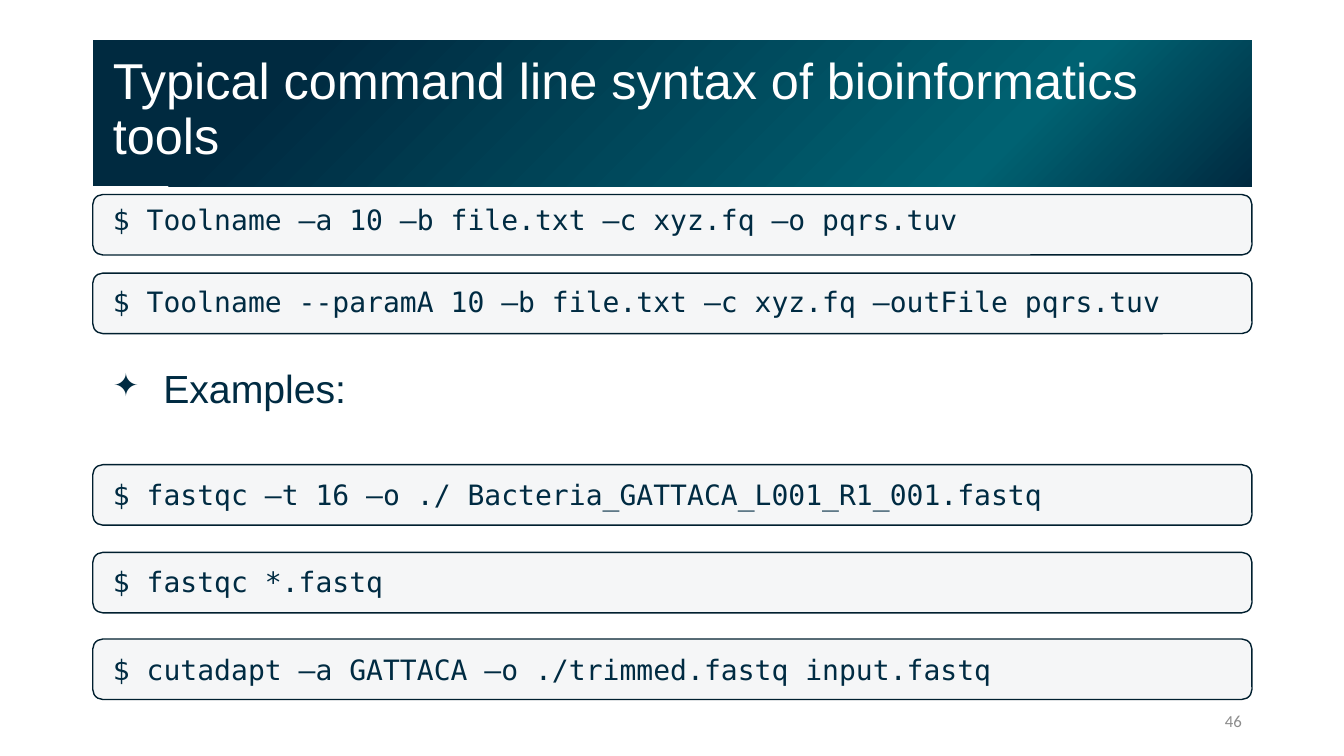
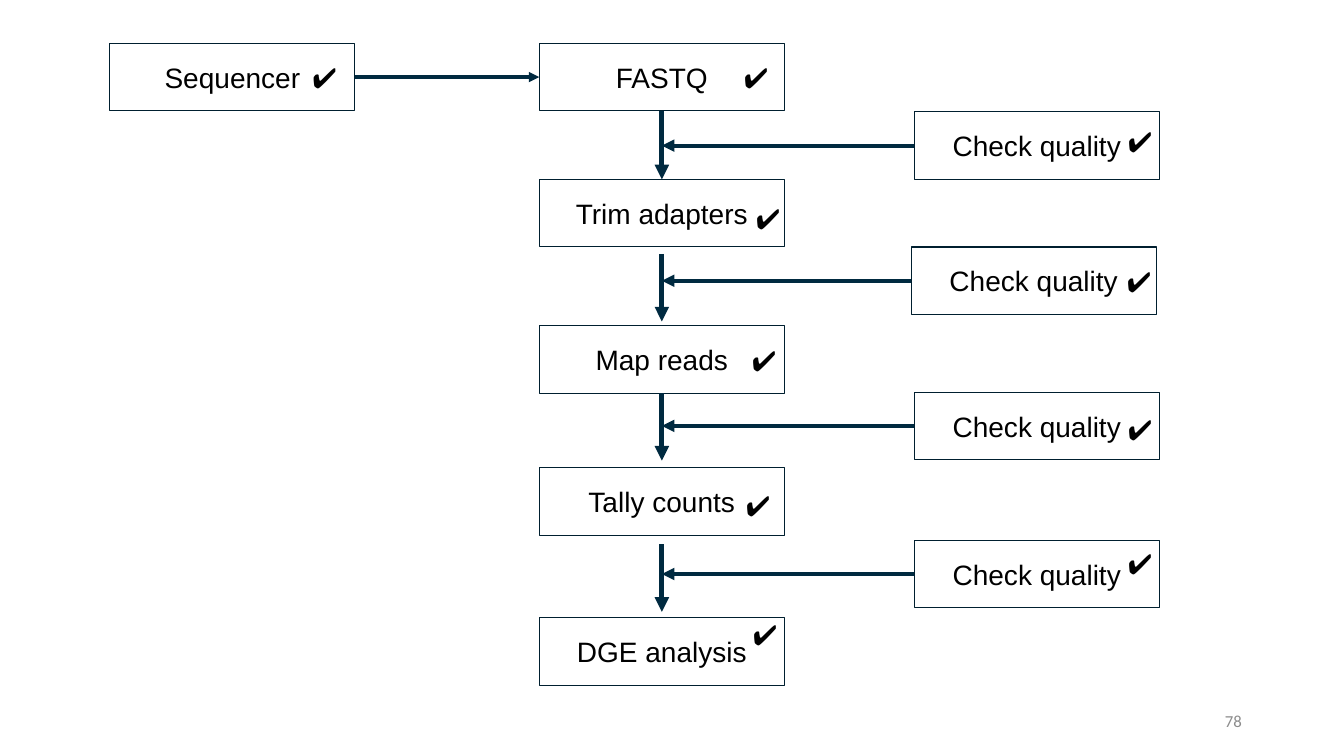
from dataclasses import dataclass

from lxml.etree import SubElement
from pptx import Presentation
from pptx.dml.color import RGBColor
from pptx.enum.shapes import MSO_CONNECTOR, MSO_SHAPE
from pptx.enum.text import MSO_ANCHOR, PP_ALIGN
from pptx.oxml import parse_xml
from pptx.oxml.ns import nsdecls, qn
from pptx.shapes.autoshape import Shape
from pptx.shapes.connector import Connector
from pptx.slide import Slide
from pptx.text.text import _Paragraph as Paragraph
from pptx.util import Inches, Length, Pt

SLIDE_WIDTH, SLIDE_HEIGHT = Inches(13.33), Inches(7.5)
NAVY, OUTLINE, TEAL = "002A40", "001F2F", "006272"
INK, BLACK, WHITE, GREY = "002B42", "000000", "FFFFFF", "8C8C8C"
SANS, MONO, FOOTER_FONT = "Arial", "DejaVu Sans Mono", "Calibri"
MARGIN, CONTENT_WIDTH = 6.9, 86.25
BAND_HEIGHT = 8
BOX_WIDTH, BOX_HEIGHT = 18.23, 8.93
TOP, LEFT, BOTTOM, RIGHT = range(4)


@dataclass(frozen=True)
class Line:
    text: str
    space_before: float = 41
    size: float = 20
    font: str = MONO
    bullet: bool = False


@dataclass(frozen=True)
class Step:
    label: str
    left: float
    top: float
    mark_right: float
    mark_down: float
    mark_width: float = 7.5
    mark_height: float = 13.33


BAND_TOPS = (25.73, 36.13, 61.47, 73.07, 84.53)
LINES = (
    Line("$ Toolname –a 10 –b file.txt –c xyz.fq –o pqrs.tuv", 0),
    Line("$ Toolname --paramA 10 –b file.txt –c xyz.fq –outFile pqrs.tuv", 37),
    Line("Examples:", 36.5, 28, SANS, True),
    Line("$ fastqc –t 16 –o ./ Bacteria_GATTACA_L001_R1_001.fastq", 49),
    Line("$ fastqc *.fastq"),
    Line("$ cutadapt –a GATTACA –o ./trimmed.fastq input.fastq"),
)
SEQUENCER = Step("Sequencer", 8.18, 5.73, 14.33, -2.13)
STAGES = (
    Step("FASTQ", 40.13, 5.73, 14.48, -2.13),
    Step("Trim adapters", 40.13, 23.73, 15.38, -1.47),
    Step("Map reads", 40.13, 43.07, 15.08, -2.13),
    Step("Tally counts", 40.13, 61.87, 14.63, -1.73),
    Step("DGE analysis", 40.13, 81.73, 15.15, -0.8, 2.48, 10.4),
)
CHECKS = (
    Step("Check quality", 68.03, 14.8, 15.15, -2.8),
    Step("Check quality", 67.8, 32.67, 15.3, -2.13),
    Step("Check quality", 68.03, 51.87, 15.15, -1.73),
    Step("Check quality", 68.03, 71.47, 15.15, 0, 2.48, 10.4),
)
ARROW_GAPS = (0, 0.93, 0, 1.2)


def color(value: str) -> RGBColor:
    return RGBColor.from_string(value)


def across(share: float) -> Length:
    return Length(round(SLIDE_WIDTH * share / 100))


def down(share: float) -> Length:
    return Length(round(SLIDE_HEIGHT * share / 100))


def area(left: float, top: float, width: float, height: float) -> tuple[Length, ...]:
    return across(left), down(top), across(width), down(height)


def add_run(paragraph: Paragraph, text: str, size: float, font: str, ink: str) -> None:
    run = paragraph.add_run()
    run.text = text
    run.font.size, run.font.name = Pt(size), font
    run.font.color.rgb = color(ink)


def set_insets(shape: Shape, left: float, top: float, right: float, bottom: float) -> None:
    frame = shape.text_frame
    frame.margin_left, frame.margin_top = Inches(left), Inches(top)
    frame.margin_right, frame.margin_bottom = Inches(right), Inches(bottom)


def add_text_box(slide: Slide, *place: float, wrap: bool = True) -> Shape:
    shape = slide.shapes.add_textbox(*area(*place))
    shape.text_frame.word_wrap = wrap
    shape.text_frame.vertical_anchor = MSO_ANCHOR.MIDDLE
    return shape


def add_block(slide: Slide, kind: MSO_SHAPE, *place: float, line: float = 0) -> Shape:
    shape = slide.shapes.add_shape(kind, *area(*place))
    shape.shadow.inherit = False
    shape.text_frame.vertical_anchor = MSO_ANCHOR.MIDDLE
    if line:
        shape.line.color.rgb = color(OUTLINE)
        shape.line.width = Pt(line)
    else:
        shape.line.fill.background()
    return shape


def add_band(slide: Slide, top: float) -> None:
    band = add_block(slide, MSO_SHAPE.ROUNDED_RECTANGLE, MARGIN, top, CONTENT_WIDTH, BAND_HEIGHT, line=1)
    band.fill.solid()
    band.fill.fore_color.rgb = color(NAVY)
    tint = band.fill._xPr.find(qn("a:solidFill")).find(qn("a:srgbClr"))
    SubElement(tint, qn("a:alpha"), val="4000")


def add_title(slide: Slide, text: str) -> None:
    title = add_block(slide, MSO_SHAPE.RECTANGLE, MARGIN, 5.33, CONTENT_WIDTH, 19.33)
    stops = "".join(
        f'<a:gs pos="{position * 1000}"><a:srgbClr val="{tone}"/></a:gs>'
        for position, tone in ((0, NAVY), (22, TEAL), (83, NAVY), (100, NAVY))
    )
    gradient = parse_xml(
        f'<a:gradFill {nsdecls("a")} rotWithShape="1"><a:gsLst>{stops}</a:gsLst>'
        '<a:path path="circle"><a:fillToRect l="100000" t="100000"/></a:path></a:gradFill>'
    )
    title._element.spPr.find(qn("a:prstGeom")).addnext(gradient)
    set_insets(title, 0.2, 0, 0.1, 0.05)
    paragraph = title.text_frame.paragraphs[0]
    paragraph.alignment, paragraph.line_spacing = PP_ALIGN.LEFT, 0.9
    add_run(paragraph, text, 36, SANS, WHITE)


def add_page_number(slide: Slide, number: int) -> None:
    footer = add_text_box(slide, 70.65, 92.67, 22.5, 5.33)
    paragraph = footer.text_frame.paragraphs[0]
    paragraph.alignment = PP_ALIGN.RIGHT
    add_run(paragraph, str(number), 12, FOOTER_FONT, GREY)


def add_bullet(paragraph: Paragraph) -> None:
    properties = paragraph._p.get_or_add_pPr()
    properties.set("marL", str(Inches(0.5)))
    properties.set("indent", str(-Inches(0.5)))
    SubElement(properties, qn("a:buSzPct"), val="80000")
    SubElement(properties, qn("a:buChar"), char="✦")


def add_lines(slide: Slide, lines: tuple[Line, ...]) -> None:
    body = add_text_box(slide, MARGIN, 27.33, 91.13, 70)
    set_insets(body, 0.2, 0, 0, 0)
    frame = body.text_frame
    frame.vertical_anchor = MSO_ANCHOR.TOP
    for index, line in enumerate(lines):
        paragraph = frame.add_paragraph() if index else frame.paragraphs[0]
        if line.bullet:
            add_bullet(paragraph)
        paragraph.line_spacing = 0.9
        paragraph.space_before = Pt(line.space_before)
        add_run(paragraph, line.text, line.size, line.font, INK)


def add_step(slide: Slide, step: Step) -> Shape:
    box = add_block(slide, MSO_SHAPE.RECTANGLE, step.left, step.top, BOX_WIDTH, BOX_HEIGHT, line=0.75)
    box.fill.background()
    mark = add_text_box(slide, step.left + step.mark_right, step.top + step.mark_down,
                        step.mark_width, step.mark_height, wrap=False)
    for shape, text, alignment in ((box, step.label, PP_ALIGN.CENTER), (mark, "✔️", PP_ALIGN.LEFT)):
        paragraph = shape.text_frame.paragraphs[0]
        paragraph.alignment, paragraph.space_after = alignment, Pt(6)
        add_run(paragraph, text, 20, SANS, BLACK)
    return box


def add_arrow(slide: Slide, start: tuple[float, float], end: tuple[float, float], width: float) -> Connector:
    arrow = slide.shapes.add_connector(
        MSO_CONNECTOR.STRAIGHT, across(start[0]), down(start[1]), across(end[0]), down(end[1])
    )
    arrow.line.color.rgb = color(NAVY)
    arrow.line.width = Pt(width)
    SubElement(arrow.line._get_or_add_ln(), qn("a:tailEnd"), type="triangle")
    SubElement(arrow._element.spPr, qn("a:effectLst"))
    return arrow


def build_syntax_slide(slide: Slide) -> None:
    for top in BAND_TOPS:
        add_band(slide, top)
    add_lines(slide, LINES)
    add_title(slide, "Typical command line syntax of bioinformatics tools")
    add_page_number(slide, 46)


def build_workflow_slide(slide: Slide) -> None:
    add_page_number(slide, 78)
    sequencer = add_step(slide, SEQUENCER)
    stages = [add_step(slide, step) for step in STAGES]
    center = STAGES[0].left + BOX_WIDTH / 2
    middle = SEQUENCER.top + BOX_HEIGHT / 2
    arrow = add_arrow(slide, (SEQUENCER.left + BOX_WIDTH, middle), (STAGES[0].left, middle), 2.5)
    arrow.begin_connect(sequencer, RIGHT)
    arrow.end_connect(stages[0], LEFT)

    for index, gap in enumerate(ARROW_GAPS):
        start = STAGES[index].top + BOX_HEIGHT + gap
        end = start + BOX_HEIGHT
        arrow = add_arrow(slide, (center, start), (center, end), 3.5)
        if not gap:
            arrow.begin_connect(stages[index], BOTTOM)
        if abs(STAGES[index + 1].top - end) < 0.2:
            arrow.end_connect(stages[index + 1], TOP)

    for check in CHECKS:
        box = add_step(slide, check)
        middle = check.top + BOX_HEIGHT / 2
        arrow = add_arrow(slide, (check.left, middle), (center, middle), 3)
        arrow.begin_connect(box, LEFT)


def main() -> None:
    presentation = Presentation()
    presentation.slide_width, presentation.slide_height = SLIDE_WIDTH, SLIDE_HEIGHT
    for build in (build_syntax_slide, build_workflow_slide):
        build(presentation.slides.add_slide(presentation.slide_layouts[6]))
    presentation.save("out.pptx")


if __name__ == "__main__":
    main()
